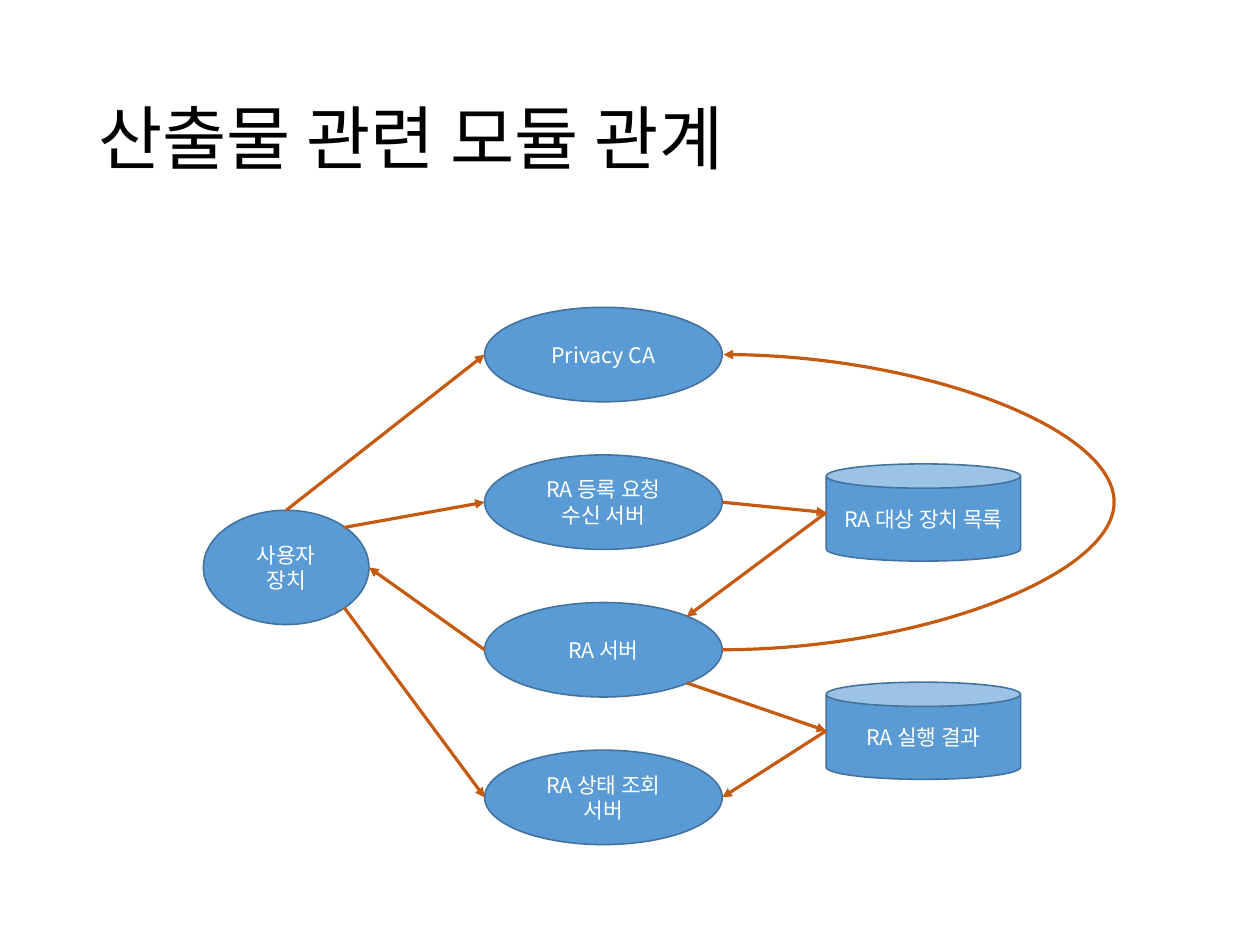
"""Build the slide showing how the remote attestation modules relate."""
from lxml import etree
from pptx import Presentation
from pptx import util as u
from pptx.dml.color import RGBColor
from pptx.enum import shapes, text
from pptx.oxml.ns import qn

COLORS = {"title": "000000", "label": "FFFFFF", "fill": "5B9BD5",
          "outline": "43729D", "arrow": "C55A11"}
FONT = "Noto Sans CJK KR"
ELLIPSE, CAN = shapes.MSO_SHAPE.OVAL, shapes.MSO_SHAPE.CAN
SITES = {"top": (0.5, 0), "left": (0, 0.5), "right": (1, 0.5),
         "top right": (0.85, 0.15), "bottom right": (0.85, 0.85)}


def write(shape, words, size, color):
    frame = shape.text_frame
    frame.text = words
    frame.word_wrap = True
    frame.vertical_anchor = text.MSO_ANCHOR.MIDDLE
    font = frame.paragraphs[0].runs[0].font
    font.size = u.Pt(size)
    font.name = FONT
    font.color.rgb = RGBColor.from_string(COLORS[color])
    east_asian = etree.SubElement(font._element, qn("a:ea"))
    east_asian.set("typeface", FONT)
    return frame.paragraphs[0]


def add_arrow(kind, start, start_site, end, end_site, shift=0):
    points = []
    for shape, site in ((start, start_site), (end, end_site)):
        across, down = SITES[site]
        points += [int(shape.left + across * shape.width),
                   int(shape.top + down * shape.height)]
    points[2] += shift
    arrow = slide.shapes.add_connector(kind, *points)
    arrow.line.color.rgb = RGBColor.from_string(COLORS["arrow"])
    arrow.line.width = u.Pt(2)
    etree.SubElement(arrow.line._get_or_add_ln(), qn("a:tailEnd")).set("type", "triangle")
    etree.SubElement(arrow._element.spPr, qn("a:effectLst"))
    return arrow


presentation = Presentation()
presentation.slide_width, presentation.slide_height = u.Cm(28), u.Cm(21)
slide = presentation.slides.add_slide(presentation.slide_layouts[6])

title = slide.shapes.add_textbox(u.Cm(1.93), u.Cm(1.12), u.Cm(24.16), u.Cm(4.06))
write(title, "산출물 관련 모듈 관계", 44, "title").line_spacing = 0.9

modules = [("device", "사용자 장치", ELLIPSE, 4.52, 11.34, 3.68, 2.54)]
servers = [("privacy", "Privacy CA"), ("register", "RA 등록 요청 수신 서버"),
           ("server", "RA 서버"), ("status", "RA 상태 조회 서버")]
for row, (name, label) in enumerate(servers):
    modules.append((name, label, ELLIPSE, 10.77, 6.83 + 3.28 * row, 5.28, 2.1))
for name, label, top in (("targets", "RA 대상 장치 목록", 10.31), ("results", "RA 실행 결과", 15.16)):
    modules.append((name, label, CAN, 18.36, top, 4.32, 2.16))

nodes = {}
for name, label, kind, *box in modules:
    node = slide.shapes.add_shape(kind, *map(u.Cm, box))
    node.shadow.inherit = False
    node.fill.solid()
    node.fill.fore_color.rgb = RGBColor.from_string(COLORS["fill"])
    node.line.color.rgb = RGBColor.from_string(COLORS["outline"])
    node.line.width = u.Pt(1)
    write(node, label, 13.5, "label").alignment = text.PP_ALIGN.CENTER
    nodes[name] = node

links = [("device", "top", "privacy", "left"),
         ("device", "top right", "register", "left"),
         ("server", "left", "device", "right"),
         ("device", "bottom right", "status", "left"),
         ("register", "right", "targets", "left"),
         ("targets", "left", "server", "top right"),
         ("results", "left", "status", "right"),
         ("server", "bottom right", "results", "left")]
for start, start_site, end, end_site in links:
    add_arrow(shapes.MSO_CONNECTOR.STRAIGHT, nodes[start], start_site, nodes[end], end_site)

curve_width, bulge = u.Cm(0.03), u.Cm(8.71)
curve = add_arrow(shapes.MSO_CONNECTOR.CURVE, nodes["server"], "right",
                  nodes["privacy"], "right", curve_width)
adjustments = curve._element.spPr.find(qn("a:prstGeom")).get_or_add_avLst()
guide = etree.SubElement(adjustments, qn("a:gd"))
guide.set("name", "adj1")
guide.set("fmla", f"val {round(bulge / curve_width * 100000)}")

presentation.save("out.pptx")
